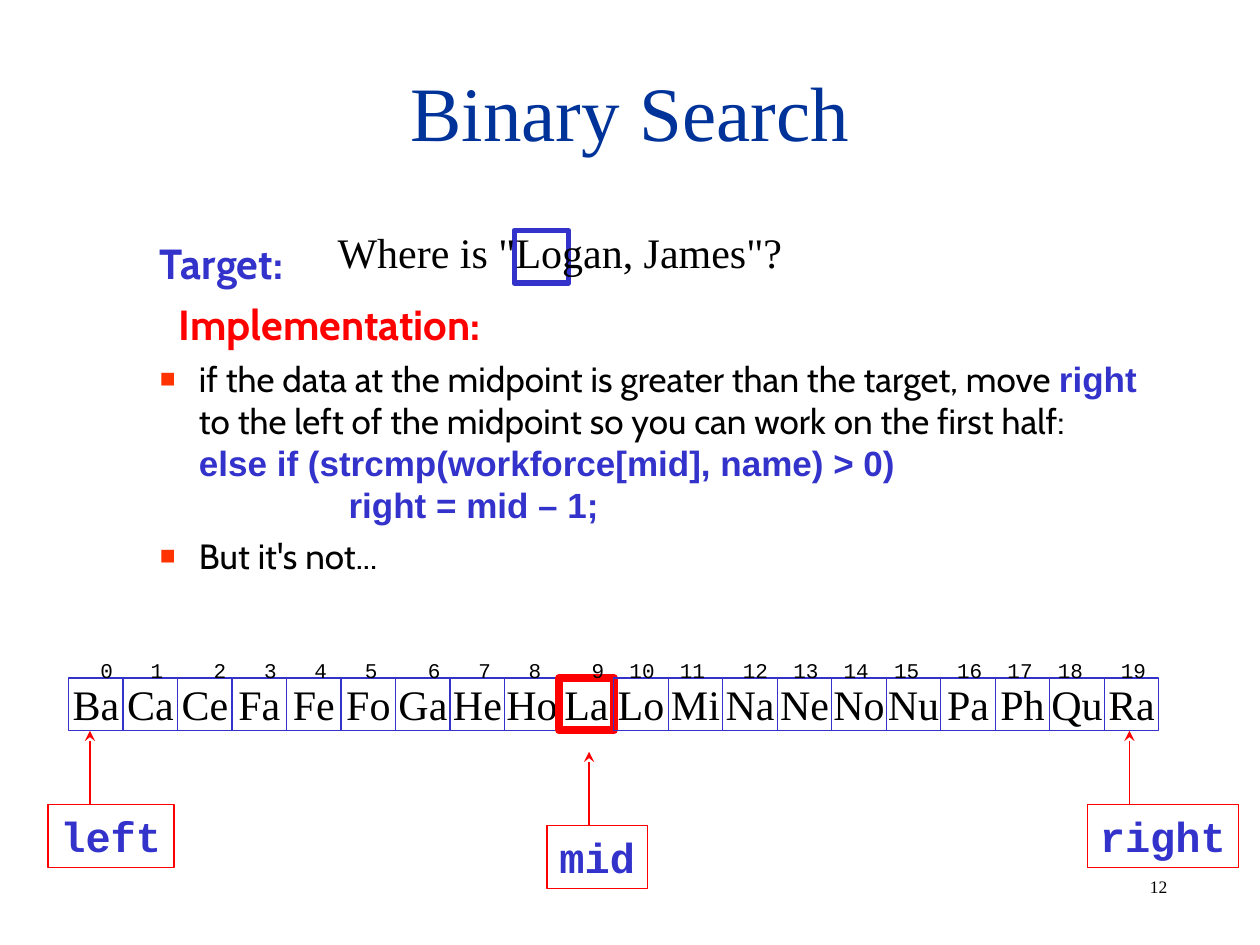
import pptx
import pptx.dml.color
import pptx.enum.shapes
import pptx.enum.text
import pptx.oxml.ns
import pptx.util
from lxml import etree

Pt = pptx.util.Pt
qn = pptx.oxml.ns.qn
ALIGN = pptx.enum.text.PP_ALIGN
ANCHOR = pptx.enum.text.MSO_ANCHOR

COLORS = {"title": "003399", "blue": "3333CC", "red": "FF0000",
          "bullet": "FF3300", "black": "000000"}
SERIF, SANS, BODY, MONO = "Times New Roman", "Arial", "Cabin", "Courier New"

NAMES = "Ba Ca Ce Fa Fe Fo Ga He Ho La Lo Mi Na Ne No Nu Pa Ph Qu Ra".split()
MIDPOINT = 9
CELL_LEFT, CELL_TOP, CELL_WIDTH, CELL_HEIGHT = 39.2, 387.4, 31.15, 30

# Column of each index, counted in characters of the fixed-width font
INDEX_COLUMNS = [0, 4, 9, 13, 17, 21, 26, 30, 34, 39,
                 42, 46, 51, 55, 59, 63, 68, 72, 76, 81]
CHARACTER_WIDTH = 7.2

# Pointer name, left, top, width
POINTERS = [("left", 27.4, 459.6, 72), ("right", 621.4, 459.6, 86.4),
            ("mid", 312.6, 471.6, 57.6)]


def color(name):
    return pptx.dml.color.RGBColor.from_string(COLORS[name])


def format_span(span, size, face, shade, bold=False):
    span.font.size = Pt(size)
    span.font.name = face
    span.font.bold = bold
    span.font.color.rgb = color(shade)


def place(box, left, top, width, height):
    box.left, box.top, box.width, box.height = map(Pt, (left, top, width, height))


def set_tabs(paragraph, positions):
    stops = etree.SubElement(paragraph._p.get_or_add_pPr(), qn("a:tabLst"))
    for position in positions:
        etree.SubElement(stops, qn("a:tab"), pos=str(Pt(position)), algn="l")


def set_bullet(paragraph, character=None):
    properties = paragraph._p.get_or_add_pPr()
    if character is None:
        etree.SubElement(properties, qn("a:buNone"))
        return
    tint = etree.SubElement(properties, qn("a:buClr"))
    etree.SubElement(tint, qn("a:srgbClr"), val=COLORS["bullet"])
    etree.SubElement(properties, qn("a:buSzPct"), val="75000")
    etree.SubElement(properties, qn("a:buFont"), typeface=SANS)
    etree.SubElement(properties, qn("a:buChar"), char=character)


def add_label(page, text, left, top, width, height, size, face, wrap=False):
    box = page.shapes.add_textbox(*map(Pt, (left, top, width, height)))
    box.text_frame.word_wrap = wrap
    paragraph = box.text_frame.paragraphs[0]
    paragraph.text = text
    format_span(paragraph.runs[0], size, face, "black")
    return paragraph


def add_frame(page, left, top, width, height, shade, weight):
    frame = page.shapes.add_shape(pptx.enum.shapes.MSO_SHAPE.RECTANGLE,
                                  *map(Pt, (left, top, width, height)))
    frame.shadow.inherit = False
    frame.fill.background()
    frame.line.color.rgb = color(shade)
    frame.line.width = Pt(weight)
    return frame


def write_in_frame(frame, text, align, anchor, *style):
    frame.text_frame.word_wrap = False
    frame.text_frame.vertical_anchor = anchor
    paragraph = frame.text_frame.paragraphs[0]
    paragraph.text = text
    paragraph.alignment = align
    format_span(paragraph.runs[0], *style)


def add_pointer(page, name, left, top, width):
    frame = add_frame(page, left, top, width, 36, "red", 0.75)
    write_in_frame(frame, name, ALIGN.LEFT, ANCHOR.TOP, 24, MONO, "blue", True)
    x = left + 24
    arrow = page.shapes.add_connector(pptx.enum.shapes.MSO_CONNECTOR.STRAIGHT,
                                      Pt(x), Pt(top), Pt(x), Pt(top - 42))
    arrow.line.color.rgb = color("red")
    arrow.line.width = Pt(0.75)
    etree.SubElement(arrow.line._get_or_add_ln(), qn("a:tailEnd"), type="stealth")
    etree.SubElement(arrow._element.spPr, qn("a:effectLst"))


def add_title(page, text):
    title = page.shapes.title
    place(title, 54, 18, 612, 90)
    frame = title.text_frame
    frame.text = text
    frame.auto_size = pptx.enum.text.MSO_AUTO_SIZE.NONE
    frame.vertical_anchor = ANCHOR.MIDDLE
    frame.paragraphs[0].alignment = ALIGN.CENTER
    format_span(frame.paragraphs[0].runs[0], 44, SERIF, "title")


def add_body_item(paragraph, lines, space, indent=-22.3, bullet=None):
    """Each line is a list of (text, size, face, shade, bold) spans."""
    paragraph.level = 1
    paragraph.space_before = Pt(space)
    properties = paragraph._p.get_or_add_pPr()
    properties.set("marL", str(Pt(58.5)))
    properties.set("indent", str(Pt(indent)))
    set_bullet(paragraph, bullet)
    set_tabs(paragraph, range(72, 577, 72))
    for number, line in enumerate(lines):
        if number:
            paragraph.add_line_break()
            line_break = paragraph._p.findall(qn("a:br"))[-1]
            etree.SubElement(line_break, qn("a:rPr"), sz=str(line[0][1] * 100))
        for text, *style in line:
            span = paragraph.add_run()
            span.text = text
            format_span(span, *style)


def add_body(page):
    body = page.placeholders[1]
    place(body, 48, 132, 630, 324)
    frame = body.text_frame
    frame.auto_size = pptx.enum.text.MSO_AUTO_SIZE.NONE
    frame.vertical_anchor = ANCHOR.TOP
    plain = (20, BODY, "black", False)
    code = (20, SANS, "blue", True)
    explanation = [
        [("if the data at the midpoint is greater than the target, move ", *plain),
         ("right", *code),
         (" to the left of the midpoint so you can work on the first half:", *plain)],
        [("else if (strcmp(workforce[mid], name) > 0) ", *code)],
        [("\t\tright = mid – 1;", *code)],
    ]
    add_body_item(frame.paragraphs[0], [[("Target:", 24, BODY, "blue", True)]], 0)
    add_body_item(frame.add_paragraph(),
                  [[("Implementation:", 24, BODY, "red", True)]], 6, indent=-11.5)
    for lines in (explanation, [[("But it's not...", *plain)]]):
        add_body_item(frame.add_paragraph(), lines, 5, bullet="■")


def add_array(page):
    for index, name in enumerate(NAMES):
        shade, weight = ("red", 4.5) if index == MIDPOINT else ("blue", 0.75)
        cell = add_frame(page, CELL_LEFT + index * CELL_WIDTH, CELL_TOP,
                         CELL_WIDTH, CELL_HEIGHT, shade, weight)
        write_in_frame(cell, name, ALIGN.CENTER, ANCHOR.MIDDLE, 24, SERIF, "black")
    indexes = "\t".join(str(index) for index in range(len(NAMES)))
    paragraph = add_label(page, indexes, 50.2, 372.2, 630, 22, 12, MONO, wrap=True)
    set_tabs(paragraph, [column * CHARACTER_WIDTH for column in INDEX_COLUMNS[1:]])


def main():
    deck = pptx.Presentation()
    deck.slide_width, deck.slide_height = Pt(720), Pt(540)
    page = deck.slides.add_slide(deck.slide_layouts[1])

    # Title and explanation
    add_title(page, "Binary Search")
    add_body(page)

    # Target question with its first letters framed
    add_frame(page, 293.8, 131.8, CELL_WIDTH, CELL_HEIGHT, "blue", 3)
    add_label(page, 'Where is "Logan, James"?', 185.8, 126, 274.3, 36, 24, SERIF)

    # Array and its pointers
    add_array(page)
    for pointer in POINTERS:
        add_pointer(page, *pointer)

    # Page number
    add_label(page, "12", 650, 496.8, 56, 19.4, 10, SERIF, wrap=True)

    deck.save("out.pptx")


if __name__ == "__main__":
    main()
